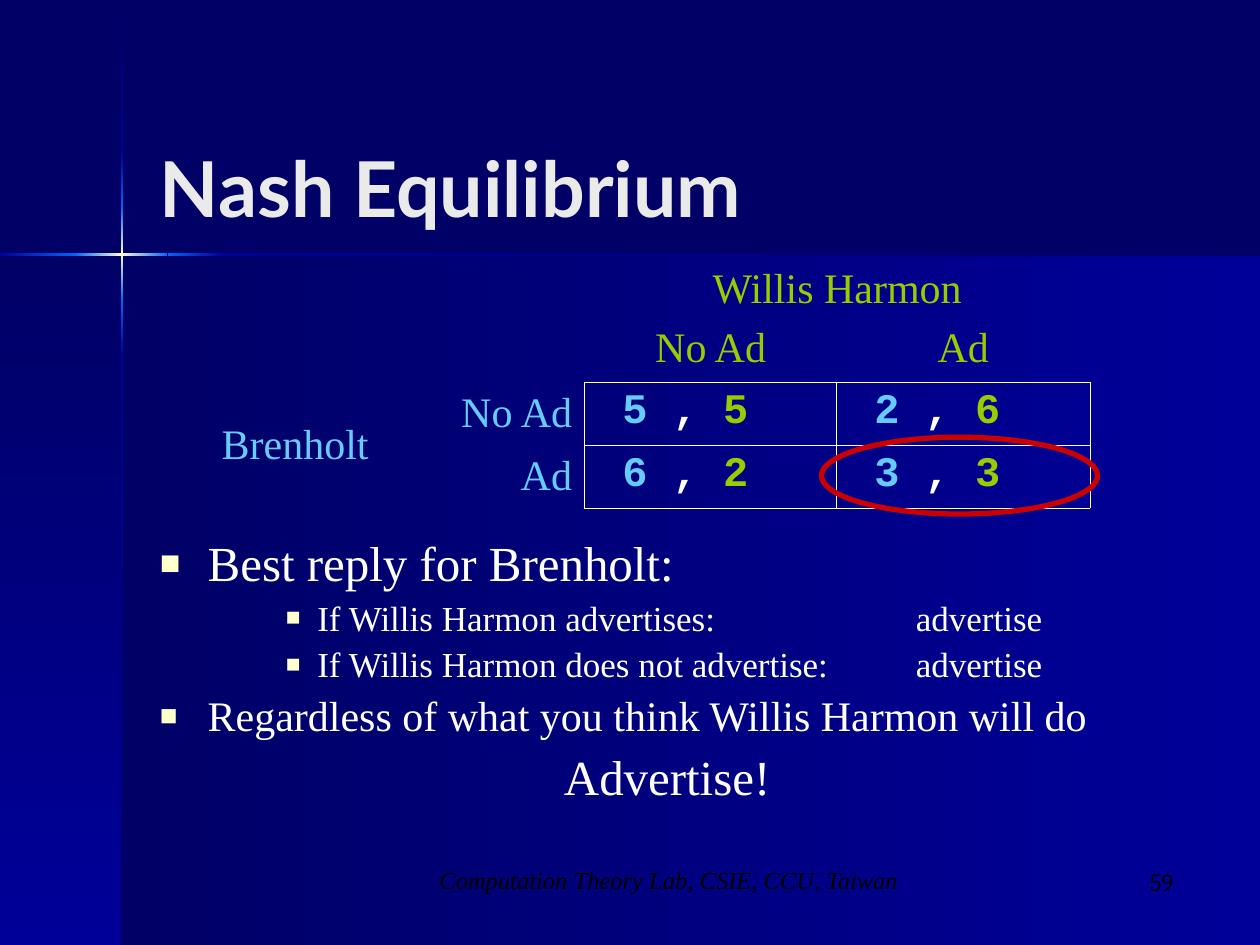
from copy import deepcopy

from lxml.etree import SubElement
from pptx import Presentation
from pptx.dml.color import RGBColor
from pptx.enum.shapes import MSO_SHAPE as Shape
from pptx.enum.text import MSO_ANCHOR as Anchor, PP_ALIGN as Align
from pptx.oxml.ns import qn
from pptx.util import Inches, Pt

COLORS = {
    "background": "000066", "bright": "000099", "glow": "0066FF",
    "cream": "FFFFCC", "title": "EAEAEA", "white": "FFFFFF",
    "column_player": "99CC00", "row_player": "66CCFF",
    "ring": "CC0000", "black": "000000",
}
SERIF = "Times New Roman"
NO_STYLE = "{2D5ABB26-0587-4C30-8999-92F81FD0307C}"
ACROSS, DOWN = 180, 270

# left, top, width, height, gradient angle, colours
BACKDROP = [
    (0.97, 2.02, 9.03, 5.48, ACROSS, ("bright", "background")),
    (0, 2.02, 0.97, 5.48, DOWN, ("background", "bright")),
    (0.96, 0.01, 0.02, 1.2, DOWN, ("background", "bright")),
    (0.96, 2.82, 0.02, 4.68, DOWN, ("bright", "background")),
    (1.77, 2.01, 8.23, 0.02, ACROSS, ("background", "bright")),
    (0.96, 2.38, 0.02, 0.44, DOWN, ("glow", "bright")),
    (0.96, 1.21, 0.02, 0.44, DOWN, ("bright", "glow")),
    (0.96, 1.65, 0.02, 0.73, DOWN, ("glow", "cream", "glow")),
    (0, 2.01, 0.61, 0.02, ACROSS, ("glow", "bright")),
    (1.33, 2.01, 0.44, 0.02, ACROSS, ("bright", "glow")),
    (0.6, 2.01, 0.73, 0.02, ACROSS, ("glow", "cream", "glow")),
]
PAYOFFS = [[(5, 5), (2, 6)], [(6, 2), (3, 3)]]
STRATEGIES = ["No Ad", "Ad"]

MAIN = {"size": 28, "before": 7, "margin": 0.38, "hanging": 0.38}
SUB = {"size": 20, "before": 5, "margin": 1.25, "hanging": 0.25, "tab": 6}
BODY = [
    ("Best reply for Brenholt:", MAIN),
    ("If Willis Harmon advertises:\tadvertise", SUB),
    ("If Willis Harmon does not advertise:\tadvertise", SUB),
    ("Regardless of what you think Willis Harmon will do",
     MAIN | {"size": 24, "before": 6}),
]


def rgb(name):
    return RGBColor.from_string(COLORS[name])


def add_run(paragraph, text, size, color, **font_values):
    run = paragraph.add_run()
    run.text = text
    values = {"name": SERIF, "size": Pt(size)} | font_values
    for name, value in values.items():
        setattr(run.font, name, value)
    run.font.color.rgb = rgb(color)


def add_text_box(slide, left, top, width, height, anchor=Anchor.TOP):
    """Add a wrapping text box and return its text frame."""
    box = slide.shapes.add_textbox(*map(Inches, (left, top, width, height)))
    box.text_frame.word_wrap = True
    box.text_frame.vertical_anchor = anchor
    return box.text_frame


def add_gradient_bar(slide, left, top, width, height, angle, colors):
    bar = slide.shapes.add_shape(
        Shape.RECTANGLE, *map(Inches, (left, top, width, height)))
    bar.shadow.inherit = False
    bar.line.fill.background()
    bar.fill.gradient()
    bar.fill.gradient_angle = angle
    stop_list = next(bar._element.iter(qn("a:gsLst")))
    for _ in colors[2:]:
        stop_list.append(deepcopy(stop_list[-1]))
    for index, (stop, color) in enumerate(zip(bar.fill.gradient_stops, colors)):
        stop.color.rgb = rgb(color)
        stop.position = index / (len(colors) - 1)


def format_bullet(paragraph, margin, hanging, tab=None):
    properties = paragraph._p.get_or_add_pPr()
    properties.set("marL", str(Inches(margin)))
    properties.set("indent", str(-Inches(hanging)))
    color = SubElement(properties, qn("a:buClr"))
    SubElement(color, qn("a:srgbClr"), val=COLORS["cream"])
    SubElement(properties, qn("a:buSzPct"), val="70000")
    SubElement(properties, qn("a:buFont"), typeface=SERIF)
    SubElement(properties, qn("a:buChar"), char="■")
    if tab:
        tabs = SubElement(properties, qn("a:tabLst"))
        SubElement(tabs, qn("a:tab"), pos=str(Inches(tab)), algn="l")


def add_body(slide):
    frame = add_text_box(slide, 1.17, 4.23, 8.25, 2.44)
    for index, (text, style) in enumerate(BODY):
        paragraph = frame.add_paragraph() if index else frame.paragraphs[0]
        paragraph.line_spacing = 0.9
        paragraph.space_before = Pt(style["before"])
        format_bullet(paragraph, style["margin"], style["hanging"],
                      style.get("tab"))
        add_run(paragraph, text, style["size"], "white")
    conclusion = frame.add_paragraph()
    values = {"alignment": Align.CENTER, "line_spacing": 0.9,
              "space_before": Pt(7)}
    for name, value in values.items():
        setattr(conclusion, name, value)
    add_run(conclusion, "Advertise!", 28, "white")


def add_borders(cell):
    properties = cell._tc.get_or_add_tcPr()
    for index, side in enumerate(("lnL", "lnR", "lnT", "lnB")):
        line = properties.makeelement(qn(f"a:{side}"), {"w": str(Pt(0.45))})
        properties.insert(index, line)
        fill = SubElement(line, qn("a:solidFill"))
        SubElement(fill, qn("a:srgbClr"), val=COLORS["white"])


def start_cell(cell, alignment, anchor):
    """Set the layout of a cell and return its paragraph."""
    cell.vertical_anchor = anchor
    paragraph = cell.text_frame.paragraphs[0]
    paragraph.alignment = alignment
    paragraph.space_before = Pt(6)
    return paragraph


def fill_label(cell, text, color, alignment, anchor):
    add_run(start_cell(cell, alignment, anchor), text, 24, color)


def fill_payoff(cell, row_value, column_value):
    cell.margin_left = Inches(0.3)
    paragraph = start_cell(cell, Align.LEFT, Anchor.TOP)
    for text, color in ((str(row_value), "row_player"), (" , ", "white"),
                        (str(column_value), "column_player")):
        add_run(paragraph, text, 24, color, name="Courier New", bold=True)
    add_borders(cell)


def add_payoff_table(slide):
    table = slide.shapes.add_table(
        4, 4, *map(Inches, (1.66, 2.03, 6.99, 2))).table
    table.first_row = table.horz_banding = False
    next(table._tbl.iter(qn("a:tableStyleId"))).text = NO_STYLE
    for column, width in zip(table.columns, (1.75, 1.23, 2, 2.01)):
        column.width = Inches(width)
    for cell in table.iter_cells():
        cell.fill.background()
    table.cell(0, 2).merge(table.cell(0, 3))
    table.cell(2, 0).merge(table.cell(3, 0))
    fill_label(table.cell(0, 2), "Willis Harmon", "column_player",
               Align.CENTER, Anchor.BOTTOM)
    fill_label(table.cell(2, 0), "Brenholt", "row_player",
               Align.LEFT, Anchor.MIDDLE)
    for index, strategy in enumerate(STRATEGIES, start=2):
        fill_label(table.cell(1, index), strategy, "column_player",
                   Align.CENTER, Anchor.TOP)
        fill_label(table.cell(index, 1), strategy, "row_player",
                   Align.RIGHT, Anchor.MIDDLE)
    for row, payoffs in enumerate(PAYOFFS, start=2):
        for column, payoff in enumerate(payoffs, start=2):
            fill_payoff(table.cell(row, column), *payoff)


def add_equilibrium_ring(slide):
    ring = slide.shapes.add_shape(
        Shape.OVAL, *map(Inches, (6.52, 3.47, 2.19, 0.61)))
    ring.shadow.inherit = False
    ring.fill.background()
    ring.line.color.rgb = rgb("ring")
    ring.line.width = Pt(3)


def add_footer(slide, left, top, width, text, alignment, **font_values):
    paragraph = add_text_box(slide, left, top, width, 0.5).paragraphs[0]
    paragraph.alignment = alignment
    add_run(paragraph, text, 14, "black", **font_values)


def main():
    presentation = Presentation()
    presentation.slide_width = Inches(10)
    presentation.slide_height = Inches(7.5)
    slide = presentation.slides.add_slide(presentation.slide_layouts[6])
    slide.background.fill.solid()
    slide.background.fill.fore_color.rgb = rgb("background")
    for bar in BACKDROP:
        add_gradient_bar(slide, *bar)
    title = add_text_box(slide, 1.17, 1.07, 8.25, 0.83, Anchor.MIDDLE)
    add_run(title.paragraphs[0], "Nash Equilibrium", 44, "title",
            name="Lato", bold=True)
    add_body(slide)
    add_payoff_table(slide)
    add_equilibrium_ring(slide)
    add_footer(slide, 3.13, 6.82, 4.36,
               "Computation Theory Lab, CSIE, CCU, Taiwan",
               Align.CENTER, italic=True)
    add_footer(slide, 7.33, 6.83, 2.08, "59", Align.RIGHT, name="Cambria")
    presentation.save("out.pptx")


if __name__ == "__main__":
    main()
